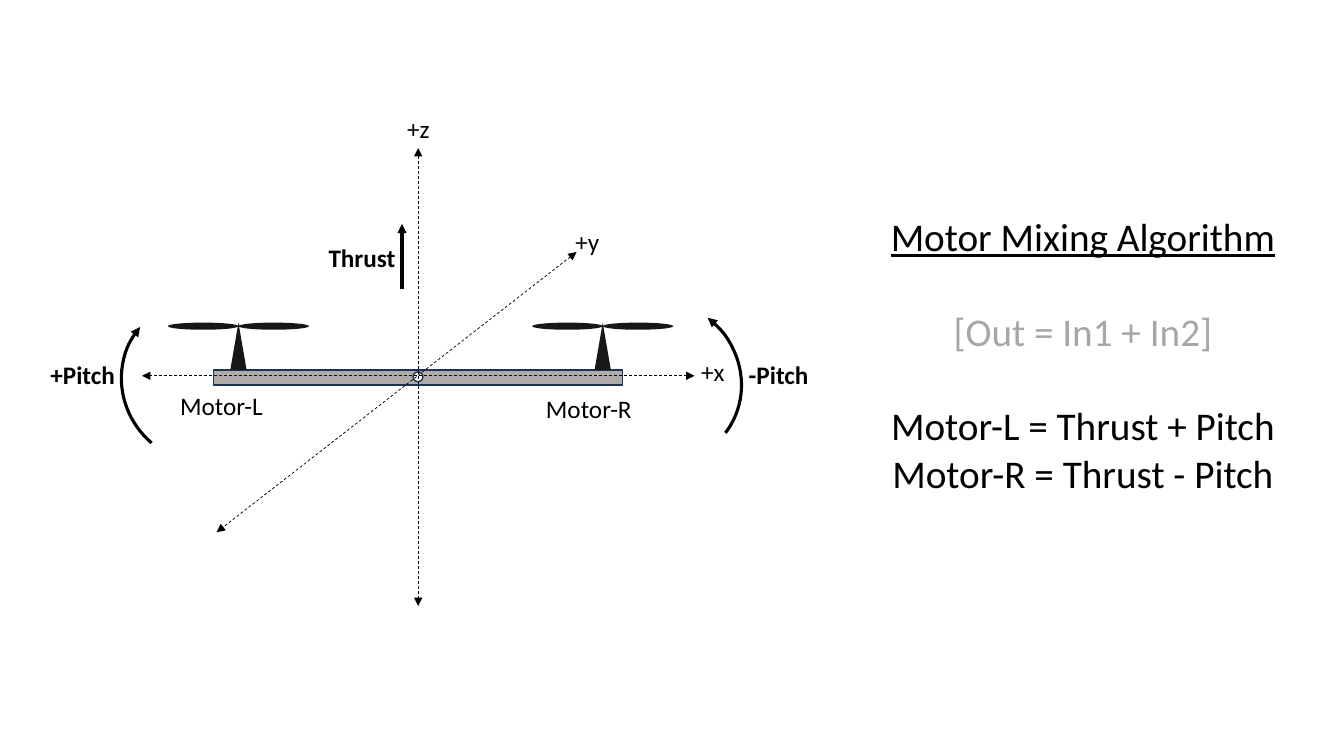
from lxml import etree
from pptx import Presentation
from pptx.dml.color import RGBColor
from pptx.enum.dml import MSO_LINE
from pptx.enum.shapes import MSO_CONNECTOR, MSO_SHAPE
from pptx.enum.text import MSO_AUTO_SIZE, PP_ALIGN
from pptx.oxml.ns import qn
from pptx.util import Cm, Pt

RECT, OVAL = MSO_SHAPE.RECTANGLE, MSO_SHAPE.OVAL
TRIANGLE, ARC = MSO_SHAPE.ISOSCELES_TRIANGLE, MSO_SHAPE.ARC
STRAIGHT, DASH = MSO_CONNECTOR.STRAIGHT, MSO_LINE.DASH
LEFT, CENTER = PP_ALIGN.LEFT, PP_ALIGN.CENTER
FIT_TEXT = MSO_AUTO_SIZE.SHAPE_TO_FIT_TEXT

COLORS = {
    "black": "000000",
    "white": "FFFFFF",
    "beam": "AFABAB",
    "outline": "1E3256",
    "motor": "181717",
    "muted": "A6A6A6",
}


class Diagram:
    """Holds the style and the current slide."""

    font = "Calibri"
    label_size = 18
    formula_size = 28

    def __init__(self, slide):
        self.shapes = slide.shapes

    def color(self, name):
        return RGBColor.from_string(COLORS[name])

    def stroke(self, s, color, width, ends=()):
        s.line.color.rgb = self.color(color)
        s.line.width = Pt(width)
        ln = s.element.spPr.find(qn("a:ln"))
        for end in ends:
            etree.SubElement(ln, qn(f"a:{end}End"), type="triangle")

    def shape(self, kind, x, y, w, h, fill=None, line=None, width=1, ends=(), turn=0):
        s = self.shapes.add_shape(kind, Cm(x), Cm(y), Cm(w), Cm(h))
        s.shadow.inherit = False
        s.rotation = turn
        if fill:
            s.fill.solid()
            s.fill.fore_color.rgb = self.color(fill)
        else:
            s.fill.background()
        if line:
            self.stroke(s, line, width, ends)
        else:
            s.line.fill.background()

    def arrow(self, x1, y1, x2, y2, width, ends, dash=None):
        s = self.shapes.add_connector(STRAIGHT, Cm(x1), Cm(y1), Cm(x2), Cm(y2))
        if dash:
            s.line.dash_style = dash
        self.stroke(s, "black", width, ends)
        etree.SubElement(s.element.spPr, qn("a:effectLst"))

    def motor(self, x, y):
        """Shaft and two blades that meet at the shaft tip."""
        shaft_w, blade_w = 0.41, 1.78
        self.shape(TRIANGLE, x - shaft_w / 2, y, shaft_w, 1.19, "motor")
        for left in (x - blade_w, x):
            self.shape(OVAL, left, y, blade_w, 0.18, "motor")

    def text(self, x, y, w, h, lines, size, align=LEFT, wrap=True):
        """Each line is (text, color, bold, underline, space before)."""
        tf = self.shapes.add_textbox(Cm(x), Cm(y), Cm(w), Cm(h)).text_frame
        tf.word_wrap = wrap
        tf.auto_size = FIT_TEXT
        tf.text = "\n".join(line[0] for line in lines)
        for p, (_, color, bold, underline, gap) in zip(tf.paragraphs, lines):
            p.alignment = align
            p.space_before = Pt(gap)
            font = p.runs[0].font
            font.name, font.size = self.font, Pt(size)
            font.bold, font.underline = bold, underline
            font.color.rgb = self.color(color)

    def label(self, text, x, y, w, bold=False):
        lines = [(text, "black", bold, False, 0)]
        self.text(x, y, w, 1.02, lines, self.label_size, wrap=bold)


def main():
    prs = Presentation()
    prs.slide_width, prs.slide_height = Cm(33.87), Cm(19.05)
    d = Diagram(prs.slides.add_slide(prs.slide_layouts[6]))

    # Beam, hub and motors
    d.shape(RECT, 5.38, 9.32, 10.31, 0.38, "beam", "outline")
    d.shape(OVAL, 10.41, 9.37, 0.25, 0.25, "white", "outline")
    for x in (15.19, 6.01):
        d.motor(x, 8.13)

    # Axes
    for axis in (
        (10.54, 3.73, 10.54, 15.27),
        (14.53, 6.35, 5.46, 13.41),
        (17.5, 9.47, 3.58, 9.47),
    ):
        d.arrow(*axis, 0.5, ("head", "tail"), DASH)

    # Axis and motor labels
    for text, x, y, w in (
        ("+z", 10.01, 2.72, 1.09),
        ("+x", 17.42, 8.86, 1.12),
        ("+y", 14.25, 5.59, 1.12),
        ("Motor-L", 4.29, 9.7, 2.64),
        ("Motor-R", 13.51, 9.78, 2.72),
    ):
        d.label(text, x, y, w)

    # Pitch arcs
    for x, turn, end in ((14.48, 37.5, "head"), (3.02, 220.6, "tail")):
        d.shape(ARC, x, 7.59, 4.24, 4.06, line="black", width=2.25, ends=(end,), turn=turn)
    d.label("-Pitch", 18.62, 8.94, 2.31, bold=True)
    d.label("+Pitch", 1.02, 8.94, 2.31, bold=True)

    # Mixing formulas
    formulas = [
        ("Motor Mixing Algorithm", "black", False, True, 0),
        ("[Out = In1 + In2]", "muted", False, False, 34),
        ("Motor-L = Thrust + Pitch", "black", False, False, 34),
        ("Motor-R = Thrust - Pitch", "black", False, False, 0),
    ]
    d.text(21.89, 5.23, 10.8, 7.44, formulas, d.formula_size, CENTER)

    # Thrust
    d.label("Thrust", 8.03, 5.97, 2.54, bold=True)
    d.arrow(10.13, 7.29, 10.13, 5.64, 2.25, ("tail",))

    prs.save("out.pptx")


if __name__ == "__main__":
    main()
